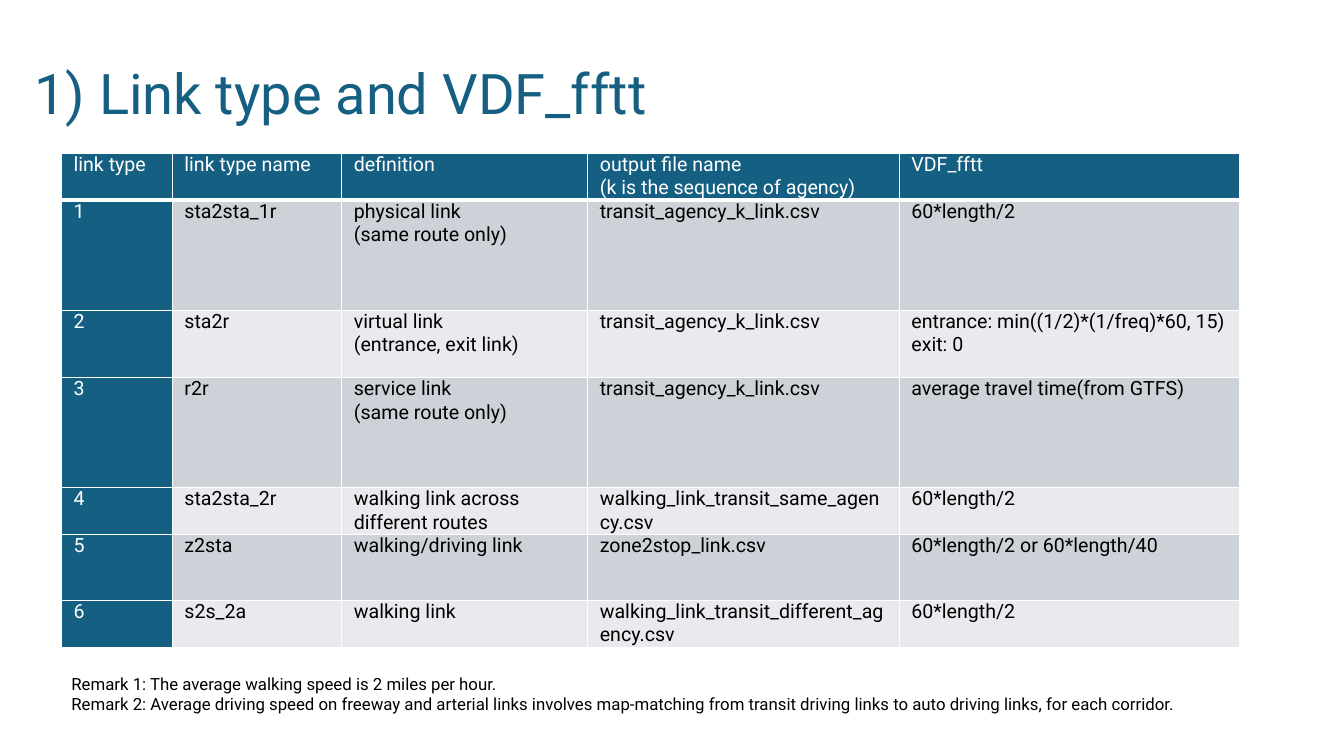
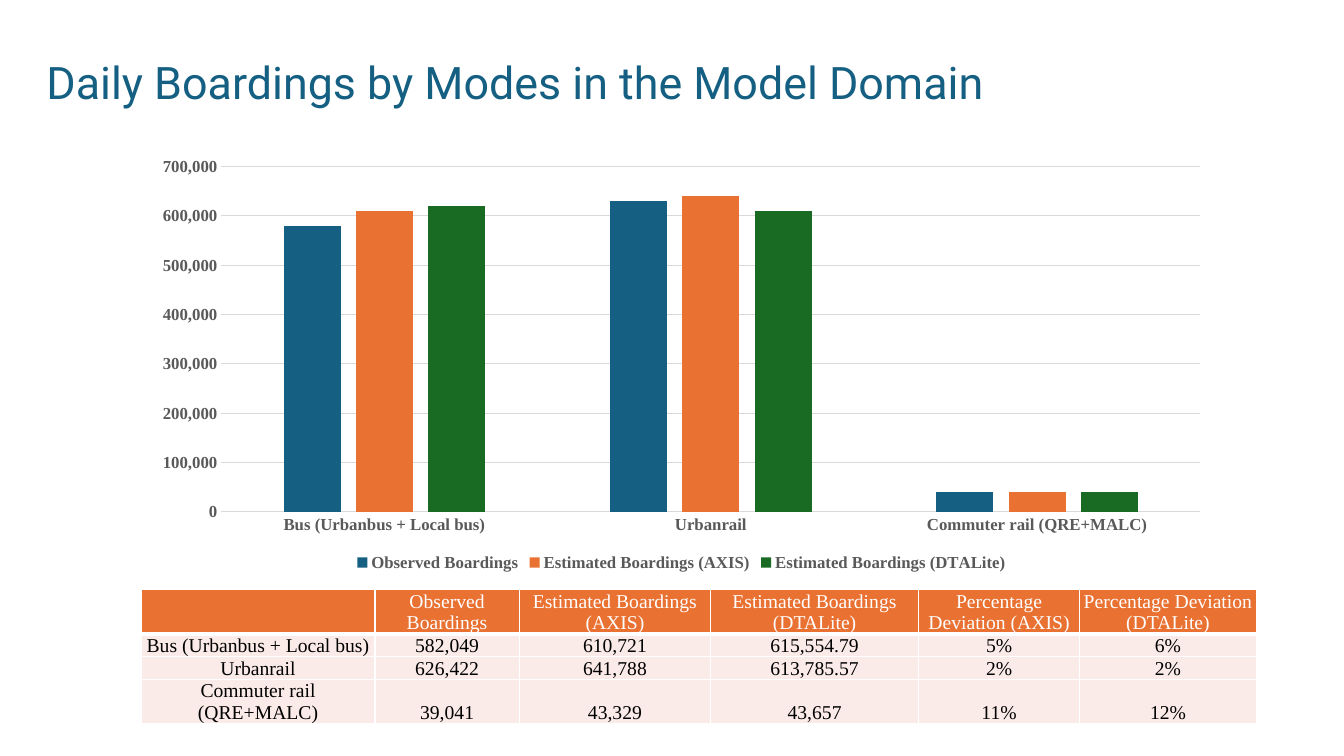
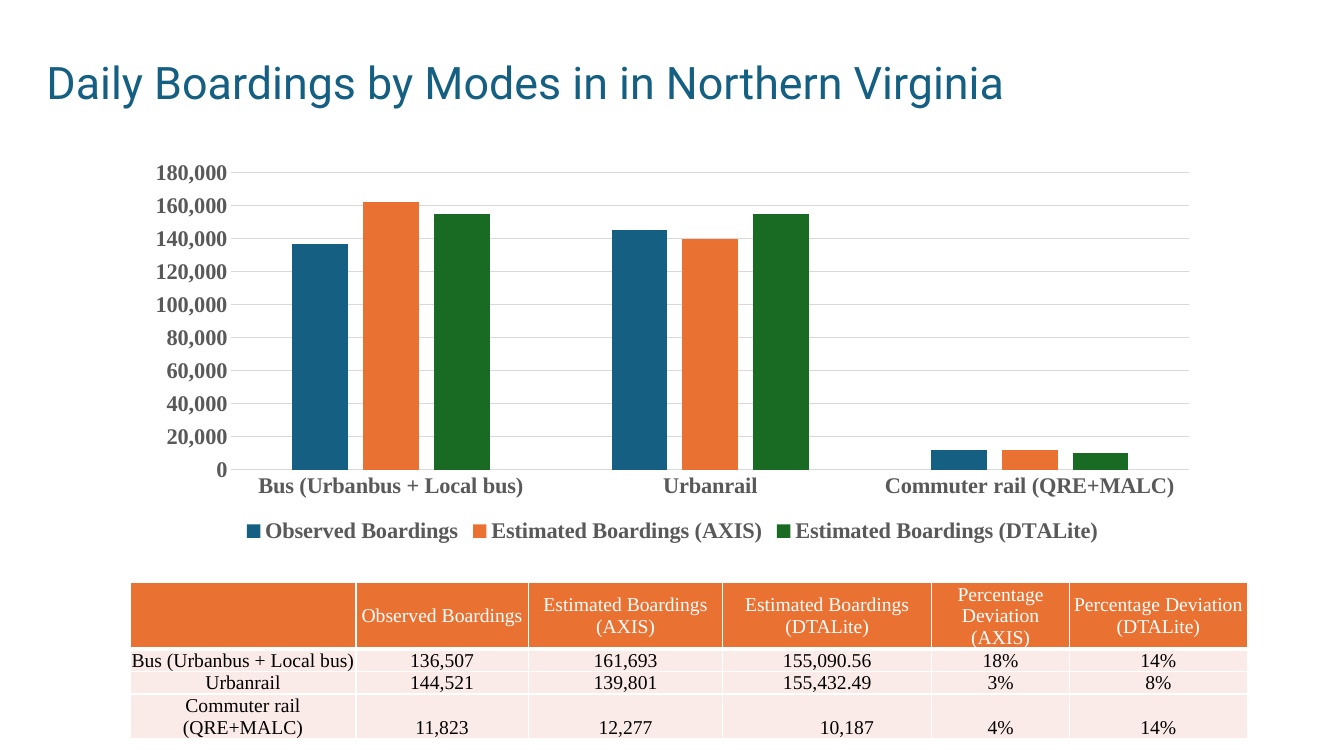
"""Build three slides on transit link types and daily boardings by mode."""
from dataclasses import dataclass

from lxml.etree import SubElement
from pptx import Presentation
from pptx.chart.data import CategoryChartData
from pptx.dml.color import RGBColor
from pptx.enum.chart import XL_CHART_TYPE, XL_LEGEND_POSITION, XL_TICK_MARK
from pptx.enum.text import MSO_ANCHOR, MSO_AUTO_SIZE, PP_ALIGN
from pptx.oxml.ns import qn
from pptx.util import Inches, Pt

COLORS = {
    "blue": "156082", "orange": "E97132", "green": "196B24",
    "white": "FFFFFF", "black": "000000", "gray": "595959", "line": "D9D9D9",
    "band_dark": "CCD2D8", "band_light": "E8EAED", "band_pink": "FBEBE8",
}
SANS, SERIF = "Roboto", "Times New Roman"
TITLE_ONLY = 5
LINE_BREAK = "\v"

MODES = ("Bus (Urbanbus + Local bus)", "Urbanrail", "Commuter rail (QRE+MALC)")
SERIES = (
    ("Observed Boardings", "blue"),
    ("Estimated Boardings (AXIS)", "orange"),
    ("Estimated Boardings (DTALite)", "green"),
)
BOARDING_HEADER = (
    "", *(name for name, _ in SERIES),
    "Percentage Deviation (AXIS)", "Percentage Deviation (DTALite)",
)
LINK_ROWS = (
    ("link type", "link type name", "definition",
     f"output file name{LINE_BREAK}(k is the sequence of agency)", "VDF_fftt"),
    ("1", "sta2sta_1r", "physical link\n(same route only)",
     "transit_agency_k_link.csv", "60*length/2"),
    ("2", "sta2r", "virtual link\n(entrance, exit link)",
     "transit_agency_k_link.csv", "entrance: min((1/2)*(1/freq)*60, 15)\nexit: 0"),
    ("3", "r2r", "service link\n(same route only)",
     "transit_agency_k_link.csv", "average travel time(from GTFS)"),
    ("4", "sta2sta_2r", "walking link across different routes",
     "walking_link_transit_same_agency.csv", "60*length/2"),
    ("5", "z2sta", "walking/driving link",
     "zone2stop_link.csv", "60*length/2 or 60*length/40"),
    ("6", "s2s_2a", "walking link",
     "walking_link_transit_different_agency.csv", "60*length/2"),
)
REMARKS = (
    "Remark 1: The average walking speed is 2 miles per hour.\n"
    "Remark 2: Average driving speed on freeway and arterial links involves "
    "map-matching from transit driving links to auto driving links, for each corridor."
)


@dataclass(frozen=True)
class Box:
    left: float
    top: float
    width: float
    height: float

    def lengths(self) -> tuple:
        return tuple(Inches(v) for v in (self.left, self.top, self.width, self.height))


@dataclass(frozen=True)
class TextStyle:
    font: str
    size: int
    color: str
    align: PP_ALIGN = PP_ALIGN.LEFT


@dataclass(frozen=True)
class TableStyle:
    font: str
    align: PP_ALIGN
    margins: tuple
    header_fill: str
    bands: tuple
    header_anchor: MSO_ANCHOR
    body_anchor: MSO_ANCHOR
    header_column: bool = False


@dataclass(frozen=True)
class BoardingSlide:
    title: str
    chart_box: Box
    chart_size: int
    values: tuple
    table_box: Box
    columns: tuple
    heights: tuple
    rows: tuple
    last_estimate_indent: float


LINK_TABLE = TableStyle(SANS, PP_ALIGN.LEFT, (0.12, 0, 0.12, 0), "blue",
                        ("band_dark", "band_light"), MSO_ANCHOR.TOP, MSO_ANCHOR.TOP, True)
BOARDING_TABLE = TableStyle(SERIF, PP_ALIGN.CENTER, (0.01, 0.01, 0.01, 0), "orange",
                            ("band_pink",), MSO_ANCHOR.MIDDLE, MSO_ANCHOR.BOTTOM)
BOARDING_TITLE = Box(0.36, -0.18, 12.35, 1.31)
BOARDING_SLIDES = (
    BoardingSlide(
        "Daily Boardings by Modes in the Model Domain",
        Box(1.4, 1.48, 10.72, 4.23), 12,
        ((580000, 630000, 40000), (610000, 640000, 40000), (620000, 610000, 40000)),
        Box(1.4, 5.85, 11.06, 1.26),
        (2.32, 1.43, 1.9, 2.06, 1.6, 1.75), (0.41, 0.22, 0.22, 0.41),
        (("582,049", "610,721", "615,554.79", "5%", "6%"),
         ("626,422", "641,788", "613,785.57", "2%", "2%"),
         ("39,041", "43,329", "43,657", "11%", "12%")), 0.01),
    BoardingSlide(
        "Daily Boardings by Modes in in Northern Virginia",
        Box(1.33, 1.51, 10.68, 3.93), 16,
        ((137000, 145000, 12000), (162000, 140000, 12000), (155000, 155000, 10000)),
        Box(1.29, 5.78, 11.08, 1.32),
        (2.24, 1.71, 1.93, 2.07, 1.37, 1.76), (0.53, 0.2, 0.2, 0.39),
        (("136,507", "161,693", "155,090.56", "18%", "14%"),
         ("144,521", "139,801", "155,432.49", "3%", "8%"),
         ("11,823", "12,277", "10,187", "4%", "14%")), 0.4),
)


def rgb(name: str) -> RGBColor:
    return RGBColor.from_string(COLORS[name])


def format_font(font, name: str, size: int, color: str, bold: bool = False) -> None:
    font.name, font.size, font.bold = name, Pt(size), bold
    font.color.rgb = rgb(color)


def write_text(text_frame, text: str, style: TextStyle) -> None:
    for index, line in enumerate(text.split("\n")):
        paragraph = text_frame.add_paragraph() if index else text_frame.paragraphs[0]
        paragraph.alignment = style.align
        for part_index, part in enumerate(line.split(LINE_BREAK)):
            if part_index:
                paragraph.add_line_break()
            if part:
                run = paragraph.add_run()
                run.text = part
                format_font(run.font, style.font, style.size, style.color)


def add_titled_slide(presentation, title: str, box: Box, size: int):
    slide = presentation.slides.add_slide(presentation.slide_layouts[TITLE_ONLY])
    shape = slide.shapes.title
    shape.left, shape.top, shape.width, shape.height = box.lengths()
    text_frame = shape.text_frame
    text_frame.word_wrap = True
    text_frame.auto_size = MSO_AUTO_SIZE.NONE
    text_frame.vertical_anchor = MSO_ANCHOR.BOTTOM
    write_text(text_frame, title, TextStyle(SANS, size, "blue"))
    paragraph = text_frame.paragraphs[0]
    paragraph.line_spacing = 0.9
    paragraph.space_after = Pt(6)
    return slide


def set_borders(cell, bottom: float) -> None:
    properties = cell._tc.get_or_add_tcPr()
    for index, (side, width) in enumerate((("L", 1), ("R", 1), ("T", 1), ("B", bottom))):
        line = SubElement(properties, qn(f"a:ln{side}"), w=str(Pt(width)))
        fill = SubElement(line, qn("a:solidFill"))
        SubElement(fill, qn("a:srgbClr"), val=COLORS["white"])
        properties.insert(index, line)


def add_styled_table(slide, box: Box, columns: tuple, heights: tuple,
                     rows: tuple, style: TableStyle):
    table = slide.shapes.add_table(len(rows), len(columns), *box.lengths()).table
    for column, width in zip(table.columns, columns):
        column.width = Inches(width)
    for row, height in zip(table.rows, heights):
        row.height = Inches(height)
    for row_index, texts in enumerate(rows):
        for column_index, text in enumerate(texts):
            cell = table.cell(row_index, column_index)
            is_header = row_index == 0
            is_accent = is_header or (style.header_column and column_index == 0)
            band = style.bands[(row_index - 1) % len(style.bands)]
            cell.fill.solid()
            cell.fill.fore_color.rgb = rgb(style.header_fill if is_accent else band)
            (cell.margin_left, cell.margin_top,
             cell.margin_right, cell.margin_bottom) = map(Inches, style.margins)
            cell.vertical_anchor = style.header_anchor if is_header else style.body_anchor
            color = "white" if is_accent else "black"
            write_text(cell.text_frame, text, TextStyle(style.font, 14, color, style.align))
            set_borders(cell, 3 if is_header else 1)
    return table


def add_boarding_chart(slide, box: Box, size: int, values: tuple) -> None:
    data = CategoryChartData(number_format="#,##0")
    data.categories = MODES
    for (name, _), numbers in zip(SERIES, values):
        data.add_series(name, numbers)
    chart = slide.shapes.add_chart(
        XL_CHART_TYPE.COLUMN_CLUSTERED, *box.lengths(), data).chart
    format_font(chart.font, SERIF, size, "black", True)
    chart.has_title = False
    chart.has_legend = True
    chart.legend.position = XL_LEGEND_POSITION.BOTTOM
    chart.legend.include_in_layout = False
    format_font(chart.legend.font, SERIF, size, "gray", True)
    for axis in (chart.category_axis, chart.value_axis):
        axis.major_tick_mark = axis.minor_tick_mark = XL_TICK_MARK.NONE
        format_font(axis.tick_labels.font, SERIF, size, "gray", True)
    chart.value_axis.format.line.fill.background()
    chart.value_axis.tick_labels.number_format = "#,##0"
    chart.value_axis.tick_labels.number_format_is_linked = False
    for line in (chart.category_axis.format.line,
                 chart.value_axis.major_gridlines.format.line):
        line.color.rgb = rgb("line")
        line.width = Pt(0.75)
    plot = chart.plots[0]
    plot.vary_by_categories = False
    plot.gap_width, plot.overlap = 219, -27
    for series, (_, color) in zip(plot.series, SERIES):
        series.format.fill.solid()
        series.format.fill.fore_color.rgb = rgb(color)


def add_link_slide(presentation) -> None:
    slide = add_titled_slide(presentation, "1) Link type and VDF_fftt",
                             Box(0.24, 0.11, 10.37, 1.2), 40)
    remarks = slide.shapes.add_textbox(*Box(0.61, 6.63, 11.4, 0.5).lengths())
    remarks.text_frame.word_wrap = True
    remarks.text_frame.auto_size = MSO_AUTO_SIZE.SHAPE_TO_FIT_TEXT
    write_text(remarks.text_frame, REMARKS, TextStyle(SANS, 12, "black"))
    add_styled_table(slide, Box(0.61, 1.52, 11.69, 4.85), (1.1, 1.68, 2.44, 3.09, 3.38),
                     (0.45, 1.09, 0.67, 1.09, 0.45, 0.65, 0.45), LINK_ROWS, LINK_TABLE)


def add_boarding_slide(presentation, content: BoardingSlide) -> None:
    slide = add_titled_slide(presentation, content.title, BOARDING_TITLE, 32)
    add_boarding_chart(slide, content.chart_box, content.chart_size, content.values)
    rows = (BOARDING_HEADER, *((mode, *row) for mode, row in zip(MODES, content.rows)))
    table = add_styled_table(slide, content.table_box, content.columns,
                             content.heights, rows, BOARDING_TABLE)
    table.cell(2, 0).vertical_anchor = MSO_ANCHOR.MIDDLE
    table.cell(3, 3).margin_left = Inches(content.last_estimate_indent)


def main() -> None:
    presentation = Presentation()
    presentation.slide_width, presentation.slide_height = Inches(13.33), Inches(7.5)
    add_link_slide(presentation)
    for content in BOARDING_SLIDES:
        add_boarding_slide(presentation, content)
    presentation.save("out.pptx")


if __name__ == "__main__":
    main()
